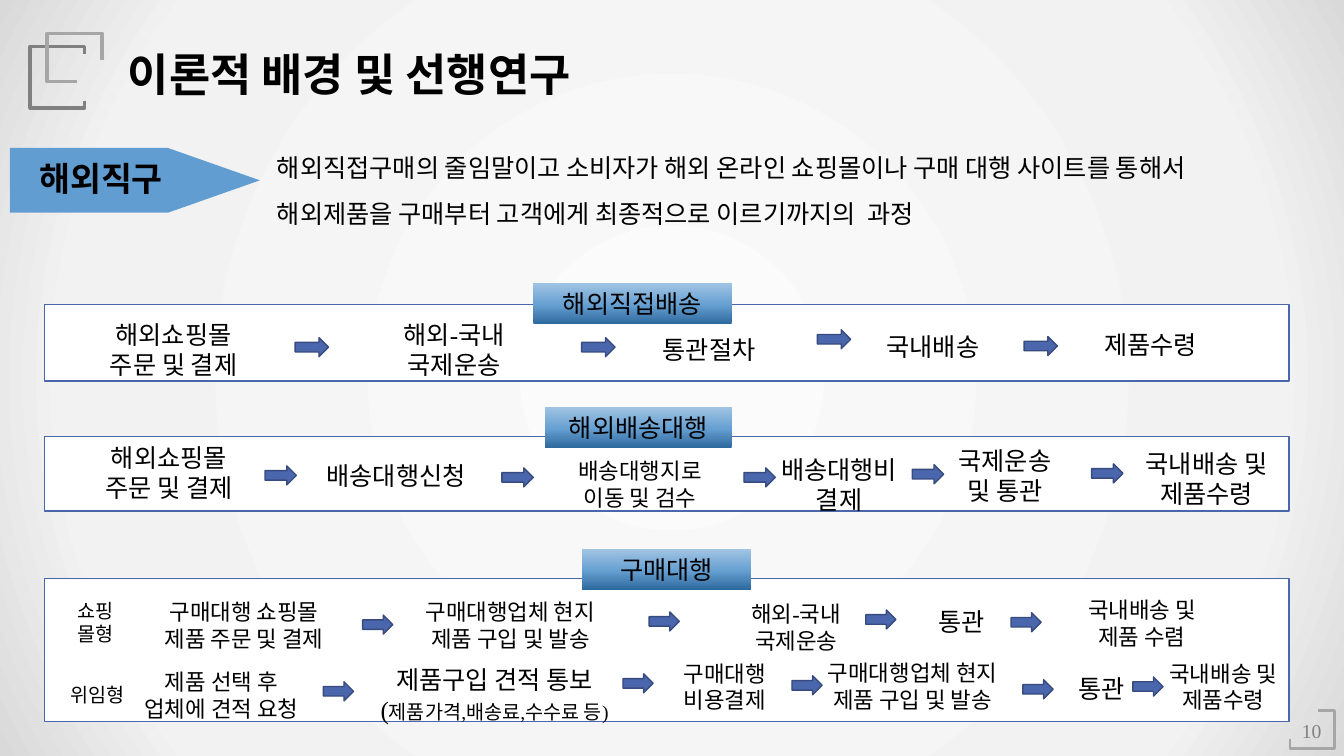
"""Build the slide on three ways of buying goods directly from overseas."""
from dataclasses import dataclass
from typing import Optional

from lxml.etree import SubElement
from pptx import Presentation
from pptx.dml.color import RGBColor
from pptx.enum.shapes import MSO_SHAPE as Shp
from pptx.enum.text import MSO_ANCHOR as Anchor, PP_ALIGN as Align
from pptx.oxml.ns import qn
from pptx.util import Cm, Pt

COLORS = {
    "text": "000000", "page": "808080", "frame": "A6A6A6", "plate": "629DD1",
    "panel": "FFFFFF", "blue": "4A66AC", "edge": "374B7F",
}
BACK_STOPS = [(0, "FBFBFB"), (79, "F2F2F2"), (100, "D9D9D9")]
TAB_STOPS = [(0, "2F6A9F"), (48, "67A0D2"), (100, "A1C4E3")]
BODY_FONT, TITLE_FONT = "Times New Roman", "Noto Sans CJK KR"
PANEL_LEFT, PANEL_WIDTH = 1.12, 31.37
TAB_HEIGHT, LABEL_HEIGHT, ARROW_HEIGHT = 1.02, 1.27, 0.48


@dataclass
class Label:
    """Text centred vertically on a given height."""
    left: float
    middle: float
    width: float
    text: str
    size: int = 18
    align: Align = Align.CENTER
    color: str = "text"
    bold: bool = False
    spacing: Optional[float] = None
    wrap: bool = True
    note: str = ""


@dataclass
class Panel:
    """White frame with a heading tab, step labels and arrows."""
    top: float
    height: float
    tab_left: float
    tab_top: float
    tab_width: float
    heading: str
    arrow_width: float
    labels: list[Label]
    arrows: list[tuple[float, float]]


@dataclass
class Bracket:
    """Open angular line used as decoration."""
    color: str
    weight: float
    points: list[tuple[float, float]]


BRACKETS = [
    Bracket("page", 2.5, [(2.13, 1.37), (2.13, 1.17), (0.76, 1.17),
                          (0.76, 2.72), (2.13, 2.72), (2.13, 2.54)]),
    Bracket("frame", 2.5, [(2.57, 1.52), (2.57, 0.84), (1.19, 0.84),
                           (1.19, 2.06), (1.93, 2.06)]),
    Bracket("frame", 2, [(32.51, 18.62), (32.51, 18.87), (33.63, 18.87),
                         (33.63, 17.91), (33.22, 17.91)]),
]
INTRO = [
    Label(32.51, 18.4, 1.09, "10", 14, color="page"),
    Label(6.73, 4.61, 26.42,
          "해외직접구매의 줄임말이고 소비자가 해외 온라인 쇼핑몰이나 구매 대행 사이트를 통해서 "
          "해외제품을 구매부터 고객에게 최종적으로 이르기까지의  과정",
          align=Align.LEFT, spacing=1.5),
    Label(0.74, 4.5, 3.94, "해외직구", 24, Align.LEFT, bold=True, wrap=False),
]
PANELS = [
    Panel(7.67, 1.93, 13.44, 7.14, 5.0, "해외직접배송", 0.84, [
        Label(1.63, 8.8, 5.49, "해외쇼핑몰\n주문 및 결제"),
        Label(8.74, 8.8, 5.41, "해외-국내\n국제운송"),
        Label(15.8, 8.8, 4.14, "통관절차"),
        Label(21.44, 8.72, 4.14, "국내배송"),
        Label(26.77, 8.67, 4.45, "제품수령"),
    ], [(7.44, 8.75), (14.66, 8.75), (20.6, 8.55), (25.81, 8.72)]),
    Panel(11.0, 1.88, 13.74, 10.26, 4.7, "해외배송대행", 0.79, [
        Label(1.98, 11.9, 4.55, "해외쇼핑몰\n주문 및 결제"),
        Label(7.44, 11.98, 5.08, "배송대행신청"),
        Label(13.77, 12.2, 4.72, "배송대행지로 이동 및 검수", 16),
        Label(19.2, 12.2, 3.89, "배송대행비 결제"),
        Label(23.24, 11.98, 4.17, "국제운송\n및 통관"),
        Label(28.32, 12.05, 4.17, "국내배송 및 제품수령"),
    ], [(6.68, 11.98), (12.65, 12.03), (18.75, 12.03), (22.99, 11.95), (27.51, 11.93)]),
    Panel(14.58, 3.61, 14.66, 13.84, 4.27, "구매대행", 0.76, [
        Label(1.7, 15.68, 1.65, "쇼핑몰형", 14, Align.LEFT),
        Label(3.61, 15.75, 5.08, "구매대행 쇼핑몰 제품 주문 및 결제", 16),
        Label(10.06, 15.75, 5.61, "구매대행업체 현지 제품 구입 및 발송", 16),
        Label(17.83, 15.8, 4.47, "해외-국내 국제운송", 16),
        Label(22.81, 15.67, 2.84, "통관"),
        Label(26.75, 15.7, 4.06, "국내배송 및 제품 수렴", 16),
        Label(1.52, 17.5, 2.18, "위임형", 14, Align.LEFT),
        Label(2.9, 17.51, 5.36, "제품 선택 후\n업체에 견적 요청", 16),
        Label(8.59, 17.5, 7.75, "제품구입 견적 통보", note="제품가격,배송료,수수료 등)"),
        Label(16.76, 17.3, 3.02, "구매대행비용결제", 16),
        Label(20.32, 17.28, 5.36, "구매대행업체 현지\n제품 구입 및 발송", 16),
        Label(26.64, 17.34, 2.24, "통관"),
        Label(28.91, 17.3, 3.84, "국내배송 및 제품수령", 16),
    ], [(9.14, 15.74), (16.36, 15.66), (21.82, 15.61), (25.48, 15.68), (8.15, 17.42),
        (15.7, 17.22), (19.96, 17.27), (25.78, 17.37), (28.55, 17.3)]),
]


def rgb(name: str) -> RGBColor:
    """Look up a named colour."""
    return RGBColor.from_string(COLORS[name])


def set_gradient(fill, element, stops, radial: bool = False) -> None:
    """Fill with the given stops, from the centre outwards or upwards."""
    fill.gradient()
    grad = element.find(".//" + qn("a:gradFill"))
    for child in list(grad):
        grad.remove(child)
    stop_list = SubElement(grad, qn("a:gsLst"))
    for position, color in stops:
        stop = SubElement(stop_list, qn("a:gs"), pos=str(position * 1000))
        SubElement(stop, qn("a:srgbClr"), val=color)
    if radial:
        way = SubElement(grad, qn("a:path"), path="circle")
        SubElement(way, qn("a:fillToRect"), l="50000", t="50000", r="50000", b="50000")
    else:
        SubElement(grad, qn("a:lin"), ang="16200000", scaled="0")


def style_run(r, size: int, color: str = "text", bold: bool = False,
              name: str = BODY_FONT) -> None:
    """Set the font of one run."""
    r.font.name, r.font.size, r.font.bold = name, Pt(size), bold
    r.font.color.rgb = rgb(color)


def add_label(s, label: Label) -> None:
    """Draw a label as a text box."""
    top = label.middle - LABEL_HEIGHT / 2
    tf = s.shapes.add_textbox(Cm(label.left), Cm(top), Cm(label.width),
                              Cm(LABEL_HEIGHT)).text_frame
    tf.text = label.text
    tf.word_wrap, tf.vertical_anchor = label.wrap, Anchor.MIDDLE
    if label.note:
        p = tf.add_paragraph()
        p.text = "("
        p.add_run().text = label.note
    for p in tf.paragraphs:
        p.alignment = label.align
        if label.spacing:
            p.line_spacing = label.spacing
        for r in p.runs:
            size = 14 if r.text == label.note else label.size
            style_run(r, size, label.color, label.bold)


def add_block(s, kind: Shp, left: float, top: float, width: float, height: float,
              fill: Optional[str] = None, line: Optional[str] = None):
    """Draw a flat preset shape."""
    sp = s.shapes.add_shape(kind, Cm(left), Cm(top), Cm(width), Cm(height))
    sp.shadow.inherit = False
    if fill:
        sp.fill.solid()
        sp.fill.fore_color.rgb = rgb(fill)
    if line:
        sp.line.color.rgb, sp.line.width = rgb(line), Pt(1)
    else:
        sp.line.fill.background()
    return sp


def add_bracket(s, bracket: Bracket) -> None:
    """Draw an open angular line."""
    start, *rest = [(Cm(x), Cm(y)) for x, y in bracket.points]
    builder = s.shapes.build_freeform(*start)
    builder.add_line_segments(rest, close=False)
    sp = builder.convert_to_shape()
    sp.shadow.inherit = False
    sp.fill.background()
    sp.line.color.rgb, sp.line.width = rgb(bracket.color), Pt(bracket.weight)


def add_panel(s, panel: Panel) -> None:
    """Draw a panel with its tab, labels and arrows."""
    add_block(s, Shp.RECTANGLE, PANEL_LEFT, panel.top, PANEL_WIDTH, panel.height,
              "panel", "blue")
    for label in panel.labels:
        add_label(s, label)
    for left, middle in panel.arrows:
        add_block(s, Shp.RIGHT_ARROW, left, middle - ARROW_HEIGHT / 2,
                  panel.arrow_width, ARROW_HEIGHT, "blue", "edge")
    tab = add_block(s, Shp.RECTANGLE, panel.tab_left, panel.tab_top,
                    panel.tab_width, TAB_HEIGHT)
    set_gradient(tab.fill, tab.element, TAB_STOPS)
    tab.text_frame.text = panel.heading
    p = tab.text_frame.paragraphs[0]
    p.alignment = Align.CENTER
    style_run(p.runs[0], 18)


def main() -> None:
    """Build and save the slide."""
    prs = Presentation()
    prs.slide_width, prs.slide_height = Cm(33.87), Cm(19.05)
    s = prs.slides.add_slide(prs.slide_layouts[5])
    set_gradient(s.background.fill, s.element, BACK_STOPS, radial=True)
    title = s.shapes.title
    title.left, title.top, title.width, title.height = Cm(2.97), Cm(1.04), Cm(16.92), Cm(1.63)
    title.text_frame.text = "이론적 배경 및 선행연구"
    title.text_frame.vertical_anchor = Anchor.MIDDLE
    p = title.text_frame.paragraphs[0]
    p.alignment = Align.LEFT
    style_run(p.runs[0], 32, bold=True, name=TITLE_FONT)
    for bracket in BRACKETS:
        add_bracket(s, bracket)
    plate = add_block(s, Shp.PENTAGON, 0.25, 3.73, 6.3, 1.63, "plate")
    plate.adjustments[0] = 1.42
    for label in INTRO:
        add_label(s, label)
    for panel in PANELS:
        add_panel(s, panel)
    prs.save("out.pptx")


if __name__ == "__main__":
    main()
